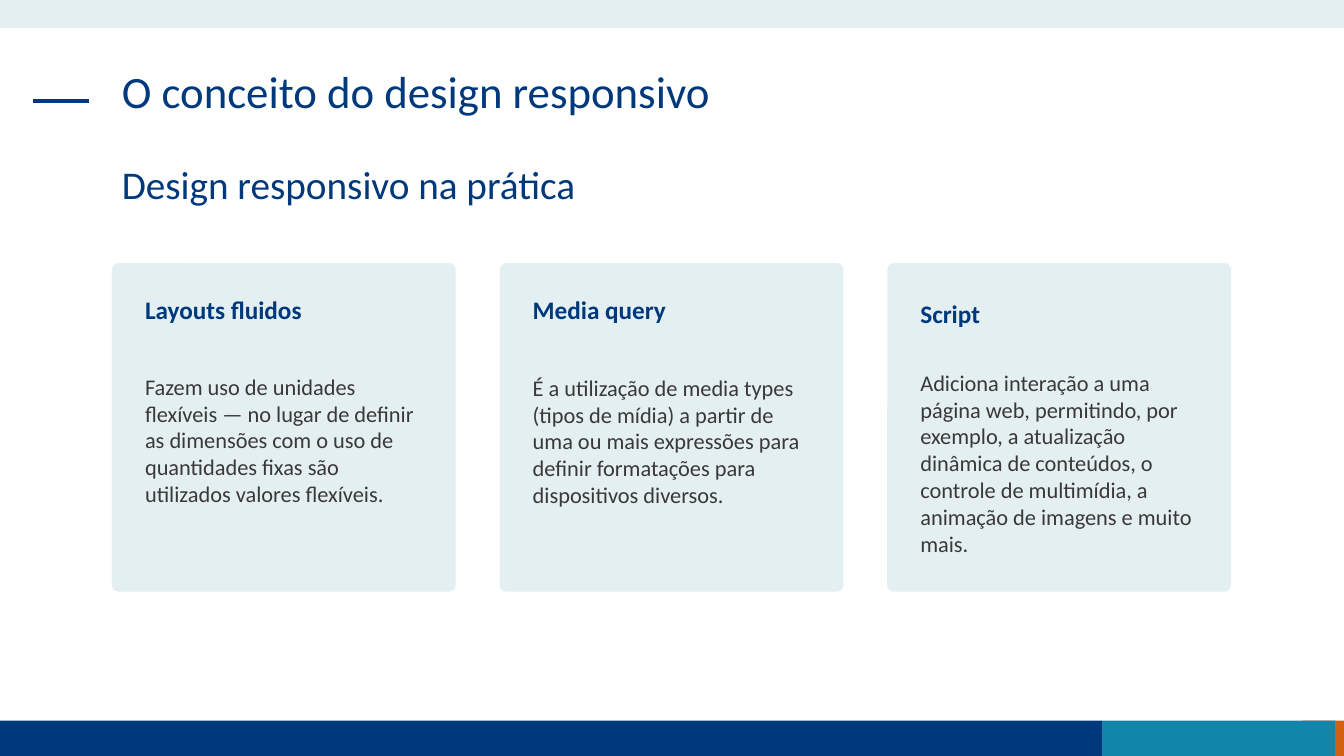
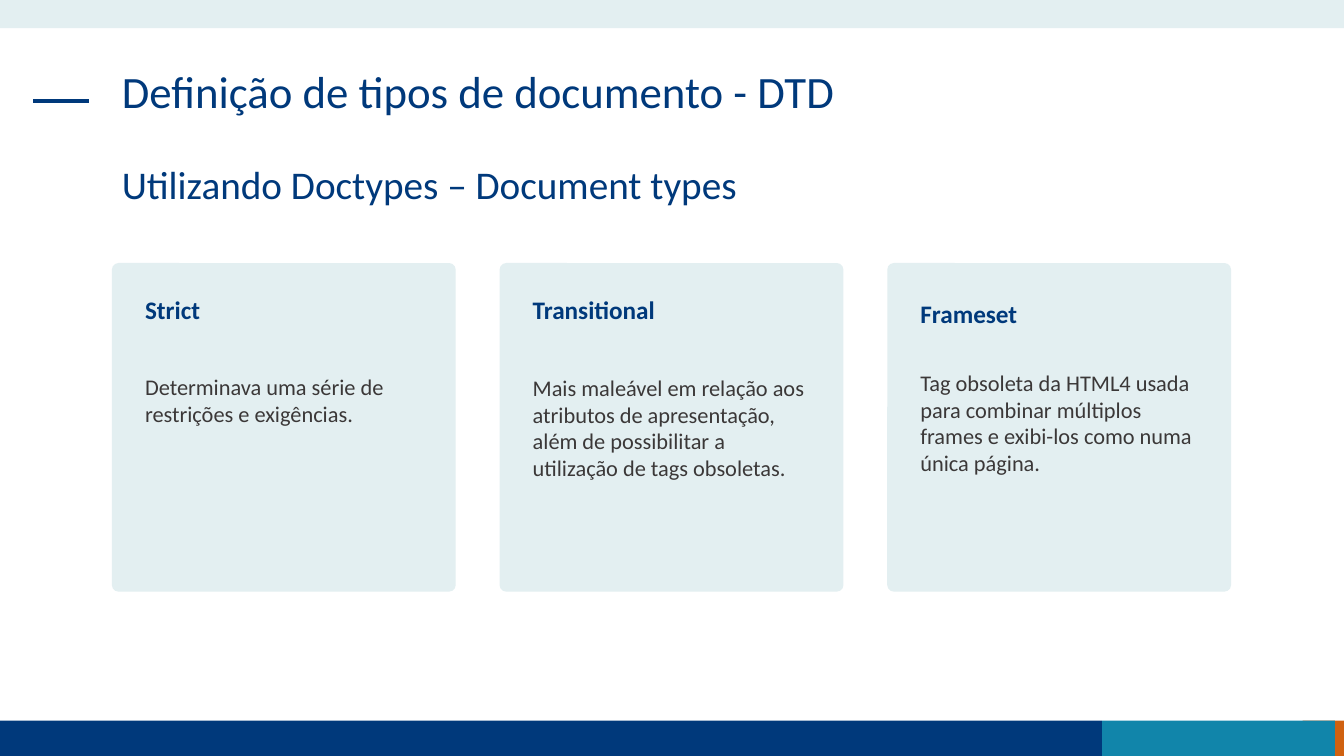
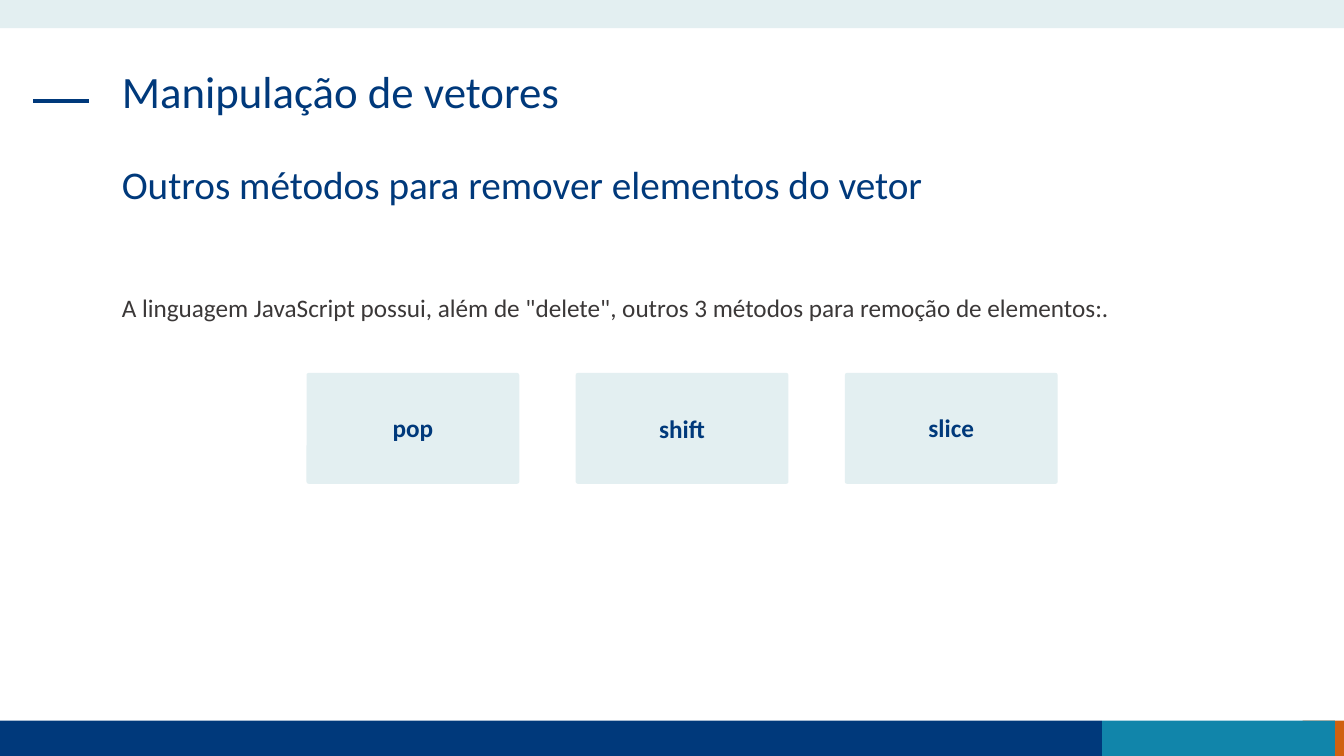
"""Build three lesson slides with cards on web design, doctypes and array methods."""
from dataclasses import dataclass

from lxml import etree
from pptx import Presentation
from pptx.dml.color import RGBColor
from pptx.enum.shapes import MSO_CONNECTOR, MSO_SHAPE
from pptx.enum.text import MSO_ANCHOR, PP_ALIGN
from pptx.oxml.ns import qn
from pptx.util import Inches, Pt

RECTANGLE = MSO_SHAPE.RECTANGLE
ROUNDED = MSO_SHAPE.ROUNDED_RECTANGLE
STRAIGHT = MSO_CONNECTOR.STRAIGHT
LEFT, CENTER = PP_ALIGN.LEFT, PP_ALIGN.CENTER
TOP, MIDDLE = MSO_ANCHOR.TOP, MSO_ANCHOR.MIDDLE


@dataclass(frozen=True)
class Theme:
    font: str = "Calibri"
    navy: str = "00397B"
    teal: str = "1185AA"
    orange: str = "D06110"
    pale: str = "E3EFF1"
    text: str = "3B3838"
    title_size: int = 32
    subtitle_size: int = 28
    heading_size: int = 18
    body_size: int = 16
    rule_width: int = 3


theme = Theme()

BANDS = [
    (12.92, 7.15, 0.41, 0.35, theme.orange),
    (0, 7.15, 10.93, 0.35, theme.navy),
    (10.93, 7.15, 2.31, 0.35, theme.teal),
    (0, 0, 13.33, 0.28, theme.pale),
]
MARGIN, CONTENT_WIDTH = 1.11, 11.1
CARD_TOP, CARD_WIDTH, CARD_HEIGHT, CARD_STEP, CARD_INSET = 2.61, 3.41, 3.26, 3.845, 0.23
HEADING_TOPS = [2.87, 2.87, 2.91]
BODY_TOPS = [3.65, 3.66, 3.61]
LINE_HEIGHT, TEXT_PADDING = 0.27, 0.1
METHOD_LEFT, METHOD_TOP, METHOD_WIDTH, METHOD_HEIGHT, METHOD_STEP = 3.04, 3.7, 2.11, 1.1, 2.67

TITLES = [
    ("O conceito do design responsivo", "Design responsivo na prática"),
    ("Definição de tipos de documento - DTD", "Utilizando Doctypes – Document types"),
    ("Manipulação de vetores", "Outros métodos para remover elementos do vetor"),
]
CARD_SETS = [
    [
        ("Layouts fluidos", 5, "Fazem uso de unidades flexíveis — no lugar de definir as dimensões "
         "com o uso de quantidades fixas são utilizados valores flexíveis."),
        ("Media query", 5, "É a utilização de media types (tipos de mídia) a partir de uma ou mais "
         "expressões para definir formatações para dispositivos diversos."),
        ("Script", 7, "Adiciona interação a uma página web, permitindo, por exemplo, a atualização "
         "dinâmica de conteúdos, o controle de multimídia, a animação de imagens e muito mais."),
    ],
    [
        ("Strict", 2, "Determinava uma série de restrições e exigências."),
        ("Transitional", 4, "Mais maleável em relação aos atributos de apresentação, além de "
         "possibilitar a utilização de tags obsoletas."),
        ("Frameset", 4, "Tag obsoleta da HTML4 usada para combinar múltiplos frames e exibi-los "
         "como numa única página."),
    ],
]
METHODS = [("pop", 4.04), ("shift", 4.05), ("slice", 4.04)]


def add_panel(slide, kind, left, top, width, height, color):
    shape = slide.shapes.add_shape(kind, Inches(left), Inches(top), Inches(width), Inches(height))
    shape.shadow.inherit = False
    shape.fill.solid()
    shape.fill.fore_color.rgb = RGBColor.from_string(color)
    shape.line.fill.background()
    if kind == ROUNDED:
        shape.adjustments[0] = 0.02


def add_text(slide, text, left, top, width, height, size, color,
             bold=False, align=LEFT, anchor=TOP, spacing=1.0):
    box = slide.shapes.add_textbox(Inches(left), Inches(top), Inches(width), Inches(height))
    text_frame = box.text_frame
    text_frame.word_wrap = True
    text_frame.vertical_anchor = anchor
    text_frame.text = text
    paragraph = text_frame.paragraphs[0]
    paragraph.alignment = align
    paragraph.line_spacing = spacing
    font = paragraph.runs[0].font
    font.name = theme.font
    font.size = Pt(size)
    font.bold = bold
    font.color.rgb = RGBColor.from_string(color)


presentation = Presentation()
presentation.slide_width = Inches(13.33)
presentation.slide_height = Inches(7.5)
blank_layout = presentation.slide_layouts[6]

slides = []
for title, subtitle in TITLES:
    slide = presentation.slides.add_slide(blank_layout)
    slides.append(slide)
    for left, top, width, height, color in BANDS:
        add_panel(slide, RECTANGLE, left, top, width, height, color)
    rule = slide.shapes.add_connector(STRAIGHT, Inches(0.33), Inches(1), Inches(0.88), Inches(1))
    rule.line.color.rgb = RGBColor.from_string(theme.navy)
    rule.line.width = Pt(theme.rule_width)
    etree.SubElement(rule._element.spPr, qn("a:effectLst"))
    add_text(slide, title, MARGIN, 0.64, CONTENT_WIDTH, 0.94,
             theme.title_size, theme.navy, spacing=0.9)
    add_text(slide, subtitle, MARGIN, 1.59, CONTENT_WIDTH, 0.94,
             theme.subtitle_size, theme.navy, spacing=0.9)

for slide, cards in zip(slides, CARD_SETS):
    for column, (heading, line_count, body) in enumerate(cards):
        left = MARGIN + column * CARD_STEP
        text_left = left + CARD_INSET
        text_width = CARD_WIDTH - 2 * CARD_INSET
        add_panel(slide, ROUNDED, left, CARD_TOP, CARD_WIDTH, CARD_HEIGHT, theme.pale)
        add_text(slide, heading, text_left, HEADING_TOPS[column], text_width, 0.4,
                 theme.heading_size, theme.navy, bold=True)
        add_text(slide, body, text_left, BODY_TOPS[column], text_width,
                 TEXT_PADDING + line_count * LINE_HEIGHT, theme.body_size, theme.text)

methods_slide = slides[2]
add_text(methods_slide,
         'A linguagem JavaScript possui, além de "delete", outros 3 métodos para remoção de elementos:.',
         MARGIN, 2.85, 10.76, 0.4, theme.heading_size, theme.text, anchor=MIDDLE)
for column, (method, text_top) in enumerate(METHODS):
    left = METHOD_LEFT + column * METHOD_STEP
    add_panel(methods_slide, ROUNDED, left, METHOD_TOP, METHOD_WIDTH, METHOD_HEIGHT, theme.pale)
    add_text(methods_slide, method, left + 0.14, text_top, METHOD_WIDTH - 0.28, 0.4,
             theme.heading_size, theme.navy, bold=True, align=CENTER)

presentation.save("out.pptx")
